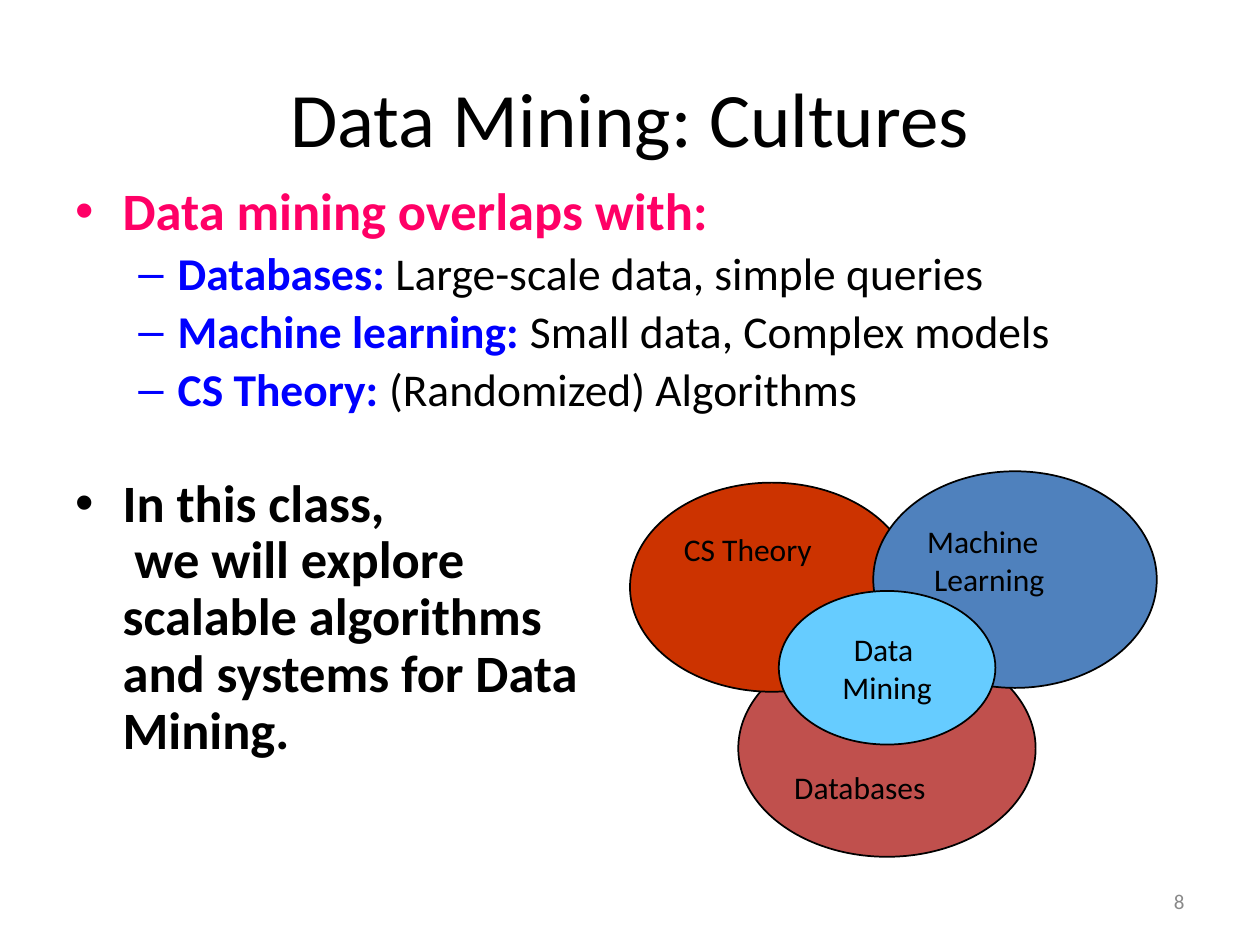
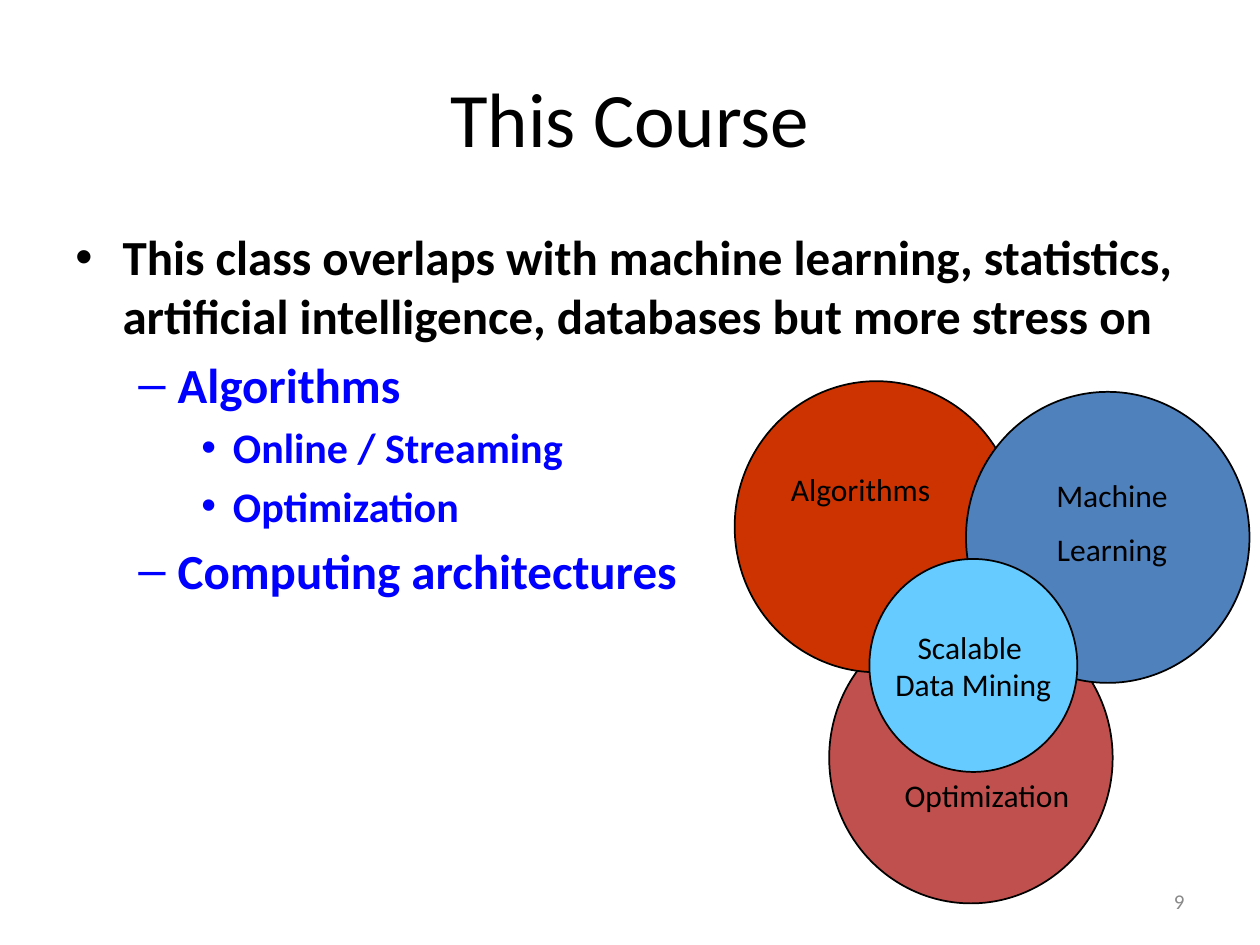
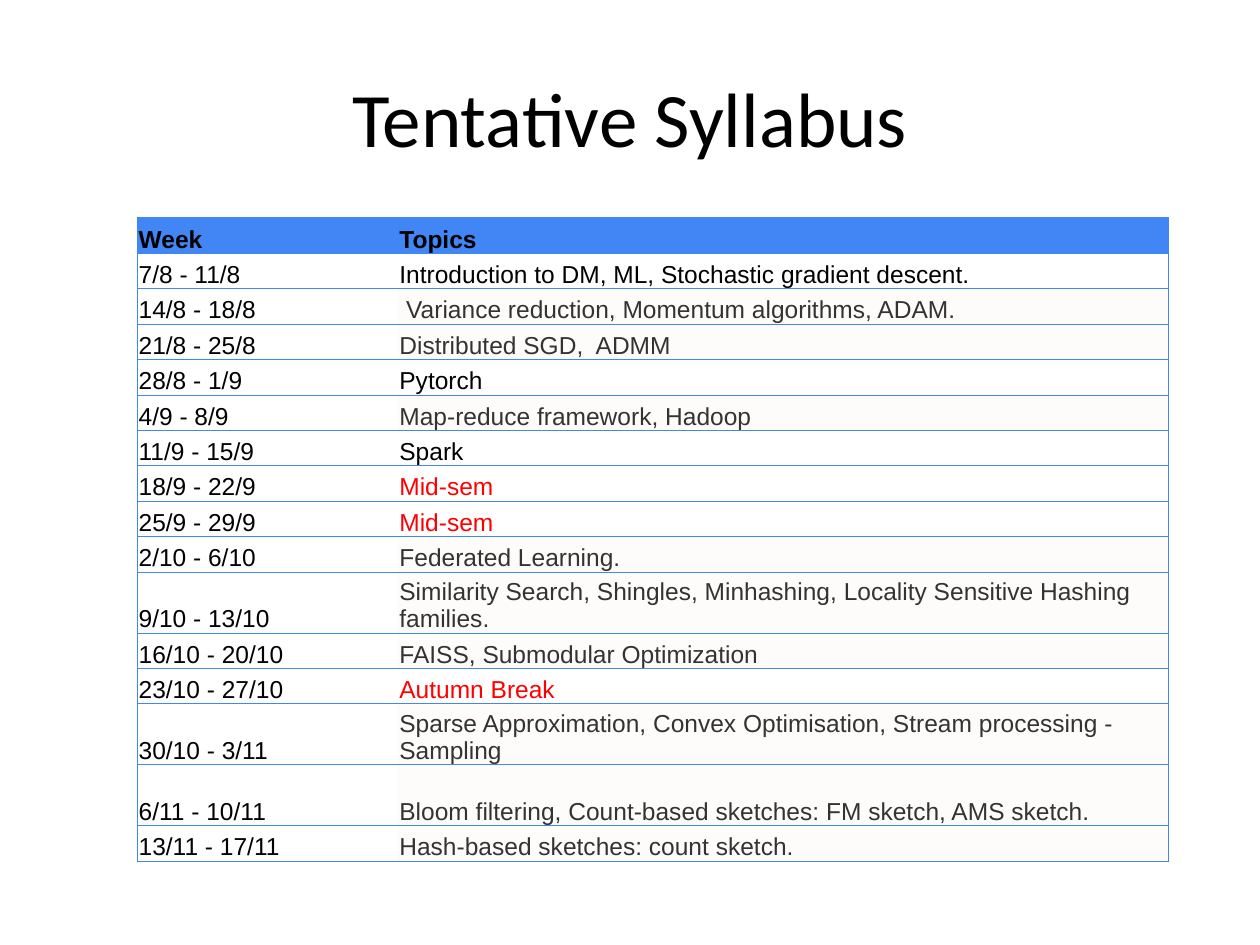
"""Builds three data mining course slides: two overlap diagrams and a syllabus table."""
from lxml import etree
from pptx import Presentation
from pptx import util as u
from pptx.dml.color import RGBColor
from pptx.enum import shapes, text
from pptx.oxml import ns

COLORS = {
    "black": "000000", "pink": "FF0066", "blue": "0000FF", "gray": "898989",
    "brick": "C0504D", "rust": "CC3300", "steel": "4F81BD", "sky": "66CCFF",
    "header": "4285F4", "cream": "FDFCFA", "dark": "333333", "red": "FF0000",
}
BULLETS = [("•", 27, -27), ("–", 58.5, -22.5), ("•", 90, -18)]
LEFT, CENTER, RIGHT = text.PP_ALIGN.LEFT, text.PP_ALIGN.CENTER, text.PP_ALIGN.RIGHT
MIDDLE = text.MSO_ANCHOR.MIDDLE
LABEL_SIZE = 18
LINE_HEIGHT = 22
NO_GRID_STYLE = "{2D5ABB26-0587-4C30-8999-92F81FD0307C}"

SYLLABUS = [
    ("7/8 - 11/8", "Introduction to DM, ML, Stochastic gradient descent.", "plain"),
    ("14/8 - 18/8", " Variance reduction, Momentum algorithms, ADAM.", "shaded"),
    ("21/8 - 25/8", "Distributed SGD,  ADMM", "shaded"),
    ("28/8 - 1/9", "Pytorch", "plain"),
    ("4/9 - 8/9", "Map-reduce framework, Hadoop", "shaded"),
    ("11/9 - 15/9", "Spark", "plain"),
    ("18/9 - 22/9", "Mid-sem", "break"),
    ("25/9 - 29/9", "Mid-sem", "break"),
    ("2/10 - 6/10", "Federated Learning.", "shaded"),
    ("9/10 - 13/10", "Similarity Search, Shingles, Minhashing, Locality Sensitive "
     "Hashing families.", "shaded"),
    ("16/10 - 20/10", "FAISS, Submodular Optimization", "shaded"),
    ("23/10 - 27/10", "Autumn Break", "break"),
    ("30/10 - 3/11", "Sparse Approximation, Convex Optimisation, Stream processing - "
     "Sampling", "shaded"),
    ("6/11 - 10/11", "Bloom filtering, Count-based sketches: FM sketch, AMS sketch.",
     "shaded"),
    ("13/11 - 17/11", "Hash-based sketches: count sketch.", "shaded"),
]
TALL_ROWS = {10, 13, 14}
ROW_STYLES = {"plain": ("black", None), "shaded": ("dark", "cream"), "break": ("red", None)}


def rgb(name):
    """Return the named colour."""
    return RGBColor.from_string(COLORS[name])


def points(*lengths):
    """Convert numbers to lengths in points."""
    return [u.Pt(length) for length in lengths]


def set_font(font, size, color="black", bold=False, name="Calibri"):
    """Style a paragraph font."""
    font.name, font.size, font.bold = name, u.Pt(size), bold
    font.color.rgb = rgb(color)


def write_lines(paragraph, content):
    """Add text to a paragraph, with a line break at each newline."""
    for index, line in enumerate(content.split("\n")):
        if index:
            paragraph.add_line_break()
        paragraph.add_run().text = line


def write_paragraphs(frame, lines, size, color="black", align=LEFT, before=0):
    """Fill a text frame with equally styled paragraphs."""
    for index, line in enumerate(lines):
        paragraph = frame.add_paragraph() if index else frame.paragraphs[0]
        paragraph.alignment = align
        paragraph.space_before = u.Pt(before)
        set_font(paragraph.font, size, color)
        write_lines(paragraph, line)


def add_box(slide, box):
    """Add a wrapping text box and return its frame."""
    frame = slide.shapes.add_textbox(*points(*box)).text_frame
    frame.word_wrap = True
    return frame


def add_label(slide, box, lines, size=LABEL_SIZE, color="black", align=CENTER,
              before=0, anchor=None):
    """Add a text box of uniform text."""
    frame = add_box(slide, box)
    frame.vertical_anchor = anchor
    write_paragraphs(frame, lines, size, color, align, before)


def add_slide(presentation, title, number=None):
    """Add a blank slide with the shared title and page number."""
    slide = presentation.slides.add_slide(presentation.slide_layouts[6])
    add_label(slide, (36, 21.6, 648, 90), [title], size=44, anchor=MIDDLE)
    if number:
        add_label(slide, (516, 500.5, 168, 28.8), [str(number)], size=12,
                  color="gray", align=RIGHT, anchor=MIDDLE)
    return slide


def add_bullets(slide, box, items, spacing=1.0):
    """Add bullets given as (level, size, color, bold text, plain text, extra gap)."""
    frame = add_box(slide, box)
    for index, (level, size, color, strong, plain, gap) in enumerate(items):
        paragraph = frame.add_paragraph() if index else frame.paragraphs[0]
        paragraph.level = level
        paragraph.line_spacing = spacing
        paragraph.space_before = u.Pt(round(0.2 * size + gap, 1))
        mark, margin, indent = BULLETS[level]
        properties = paragraph._p.get_or_add_pPr()
        properties.set("marL", str(u.Pt(margin)))
        properties.set("indent", str(u.Pt(indent)))
        etree.SubElement(properties, ns.qn("a:buFont"), typeface="Arial")
        etree.SubElement(properties, ns.qn("a:buChar"), char=mark)
        set_font(paragraph.font, size, color, True)
        write_lines(paragraph, strong)
        if plain:
            run = paragraph.add_run()
            run.text = plain
            run.font.bold = False
            run.font.color.rgb = rgb("black")


def add_ellipse(slide, box, fill, lines=(), align=LEFT, lines_above=0, lines_below=0):
    """Add an outlined ellipse, its label moved by a number of free lines."""
    shape = slide.shapes.add_shape(shapes.MSO_SHAPE.OVAL, *points(*box))
    shape.shadow.inherit = False
    shape.fill.solid()
    shape.fill.fore_color.rgb = rgb(fill)
    shape.line.color.rgb = rgb("black")
    shape.line.width = u.Pt(1)
    frame = shape.text_frame
    frame.word_wrap = False
    frame.vertical_anchor = MIDDLE
    frame.margin_top = u.Pt(3.6 + lines_above * LINE_HEIGHT)
    frame.margin_bottom = u.Pt(3.6 + lines_below * LINE_HEIGHT)
    write_paragraphs(frame, lines, LABEL_SIZE, align=align)


def add_border(cell, side):
    """Draw one thin border of a cell."""
    line = etree.SubElement(cell._tc.get_or_add_tcPr(), ns.qn("a:ln" + side),
                            w=str(u.Pt(0.5)))
    fill = etree.SubElement(line, ns.qn("a:solidFill"))
    etree.SubElement(fill, ns.qn("a:srgbClr"), val=COLORS["header"])


def fill_cell(cell, content, sides, color="black", fill=None, bold=False):
    """Write and style a table cell."""
    cell.margin_left = cell.margin_right = cell.margin_top = u.Pt(0.75)
    cell.margin_bottom = 0
    cell.vertical_anchor = text.MSO_ANCHOR.BOTTOM
    for side in sides:
        add_border(cell, side)
    if fill:
        cell.fill.solid()
        cell.fill.fore_color.rgb = rgb(fill)
    else:
        cell.fill.background()
    paragraph = cell.text_frame.paragraphs[0]
    set_font(paragraph.font, 14, color, bold, "Arial")
    paragraph.add_run().text = content


def add_syllabus(slide):
    """Add the week and topic table."""
    frame = slide.shapes.add_table(len(SYLLABUS) + 1, 2, *points(78.5, 124.5, 589, 367.8))
    table = frame.table
    table.first_row = table.horz_banding = False
    table._tbl.tblPr.find(ns.qn("a:tableStyleId")).text = NO_GRID_STYLE
    for column, width in zip(table.columns, (149, 440)):
        column.width = u.Pt(width)
    for index, row in enumerate(table.rows):
        row.height = u.Pt(34.85 if index in TALL_ROWS else 20.25)
    for column, heading in enumerate(("Week", "Topics")):
        fill_cell(table.cell(0, column), heading, ("LTB", "RTB")[column],
                  fill="header", bold=True)
    for row, (week, topic, style) in enumerate(SYLLABUS, 1):
        color, fill = ROW_STYLES[style]
        fill_cell(table.cell(row, 0), week, "LTB")
        fill_cell(table.cell(row, 1), topic, "RTB", color, fill)


def build_cultures(presentation):
    """Build the slide on fields that data mining overlaps with."""
    slide = add_slide(presentation, "Data Mining: Cultures", 8)
    add_bullets(slide, (36, 102.2, 648, 437.8), [
        (0, 30, "pink", "Data mining overlaps with:", "", 0),
        (1, 26, "blue", "Databases:", " Large-scale data, simple queries", 0),
        (1, 26, "blue", "Machine learning: ", "Small data, Complex models", 0),
        (1, 26, "blue", "CS Theory: ", "(Randomized) Algorithms ", 0),
        (0, 30, "black", "In this class,\n we will explore\nscalable algorithms\n"
         "and systems for Data\nMining.", "", 28.6),
    ], spacing=0.9)
    add_ellipse(slide, (421.9, 365.8, 169.9, 123.8), "brick", ["Databases"], lines_above=2)
    add_ellipse(slide, (360, 275.8, 162, 119.5), "rust", ["CS Theory"], lines_below=2)
    add_ellipse(slide, (499, 269.3, 162, 123.8), "steel", ["Machine", " Learning"],
                lines_below=1)
    add_ellipse(slide, (445, 337.7, 123.8, 87.8), "sky", ["Data \nMining"], CENTER)


def build_course(presentation):
    """Build the slide on what the course stresses."""
    slide = add_slide(presentation, "This Course", 9)
    add_bullets(slide, (36, 126, 648, 356.4), [
        (0, 28, "black", "This class overlaps with machine learning, statistics, "
         "artificial intelligence, databases but more stress on", "", 0),
        (1, 28, "blue", "Algorithms", "", 0),
        (2, 24, "blue", "Online / Streaming", "", 0),
        (2, 24, "blue", "Optimization", "", 0),
        (1, 28, "blue", "Computing architectures", "", 0),
    ])
    for left, top, fill in ((473.8, 349.9, "brick"), (419.8, 217.8, "rust"),
                            (552, 223.9, "steel")):
        add_ellipse(slide, (left, top, 162, 166.3), fill)
    add_label(slide, (554.4, 268.6, 162, 61.9), ["Machine", "Learning"], before=9)
    add_label(slide, (437.8, 265, 108, 28.8), ["Algorithms"], before=9)
    add_ellipse(slide, (496.8, 319.4, 118.8, 121.7), "sky", ["Scalable ", "Data Mining"],
                CENTER)
    add_label(slide, (509.8, 439.9, 113.8, 28.8), ["Optimization"], align=LEFT, before=9)


def main():
    """Build and save the presentation."""
    presentation = Presentation()
    presentation.slide_width, presentation.slide_height = points(720, 540)
    build_cultures(presentation)
    build_course(presentation)
    add_syllabus(add_slide(presentation, "Tentative Syllabus"))
    presentation.save("out.pptx")


main()
